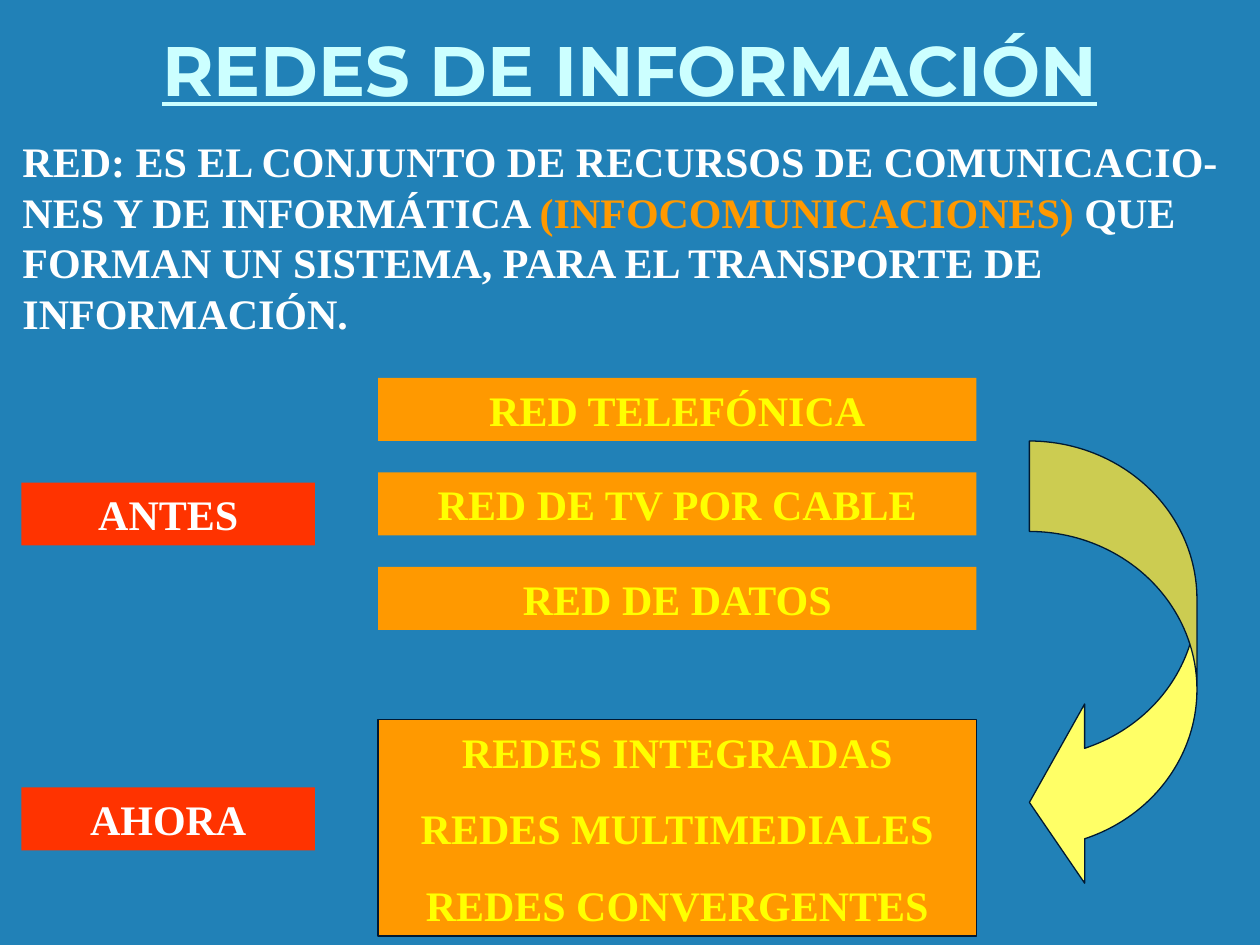
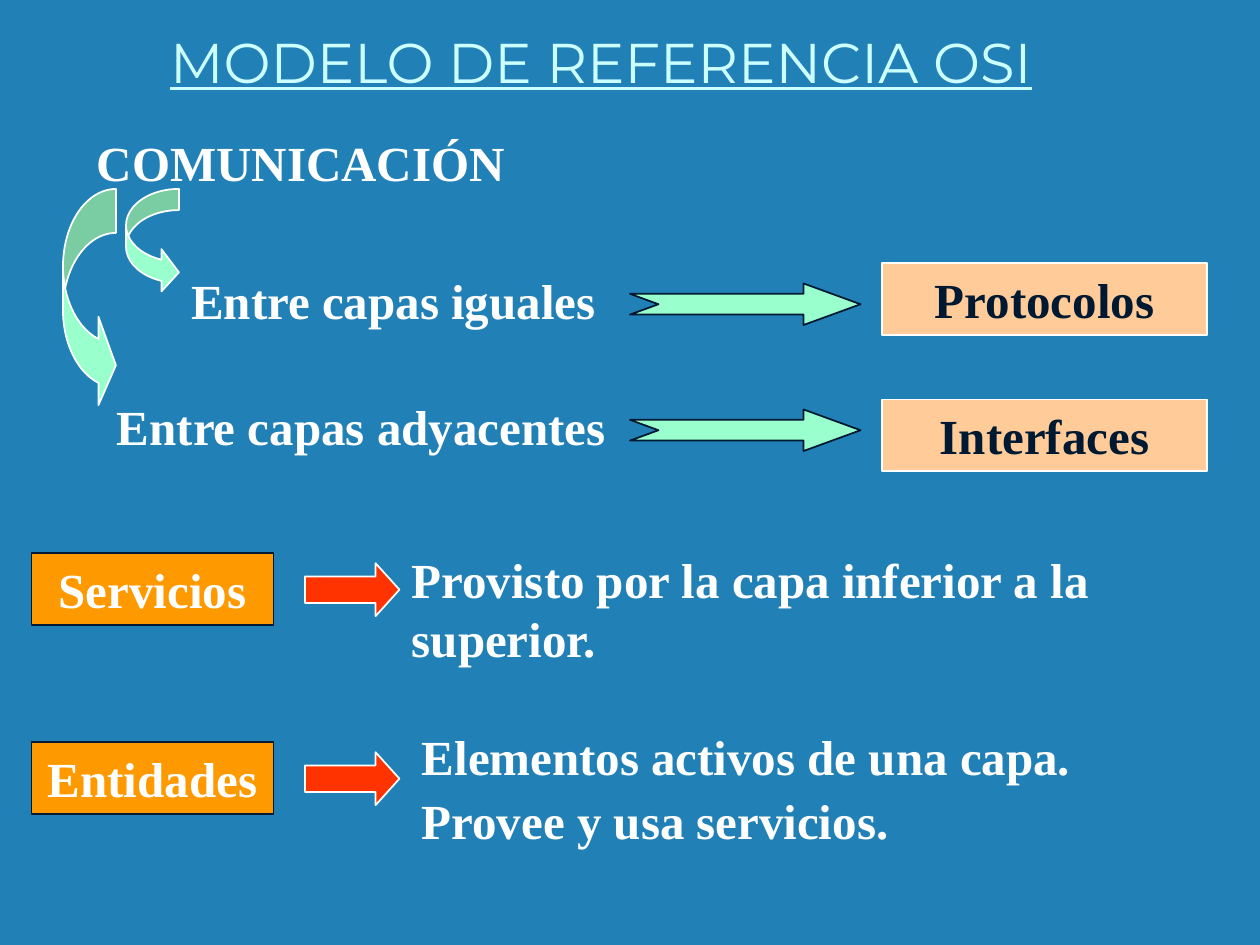
from pptx import Presentation
from pptx.dml.color import RGBColor
from pptx.enum import shapes, text
from pptx.util import Inches, Pt

BLUE = RGBColor(0x21, 0x81, 0xB7)
PALE_CYAN = RGBColor(0xCC, 0xFF, 0xFF)
WHITE = RGBColor(0xFF, 0xFF, 0xFF)
ORANGE = RGBColor(0xFF, 0x99, 0x00)
RED = RGBColor(0xFF, 0x33, 0x00)
YELLOW = RGBColor(0xFF, 0xFF, 0x00)
LIGHT_YELLOW = RGBColor(0xFF, 0xFF, 0x66)
NAVY = RGBColor(0x00, 0x19, 0x32)
PEACH = RGBColor(0xFF, 0xCC, 0x99)
MINT = RGBColor(0x99, 0xFF, 0xCC)

TITLE_FONT, BODY_FONT = "Montserrat", "Times New Roman"
LEFT, CENTER = text.PP_ALIGN.LEFT, text.PP_ALIGN.CENTER
TOP, MIDDLE, BOTTOM = (text.MSO_ANCHOR.TOP, text.MSO_ANCHOR.MIDDLE,
                       text.MSO_ANCHOR.BOTTOM)
PRESET = shapes.MSO_SHAPE

DEFINITION = [
    ("RED: ES EL CONJUNTO DE RECURSOS DE COMUNICACIO-NES Y DE INFORMÁTICA ", WHITE),
    ("(INFOCOMUNICACIONES)", ORANGE),
    (" QUE FORMAN UN SISTEMA, PARA EL TRANSPORTE DE INFORMACIÓN.", WHITE),
]
PERIODS = [("ANTES", 3.83), ("AHORA", 6.25)]
SEPARATE_NETWORKS = ["RED TELEFÓNICA", "RED DE TV POR CABLE", "RED DE DATOS"]
MERGED_NETWORKS = ["REDES INTEGRADAS", "REDES MULTIMEDIALES", "REDES CONVERGENTES"]

COMMUNICATION = [
    ("Entre capas iguales", (1.42, 2.1, 3.58, 0.57), "Protocolos", 2.09),
    ("Entre capas adyacentes", (0.83, 3.1, 4.25, 0.57), "Interfaces", 3.17),
]
BRANCH_ARROWS = [
    ((1, 1.5, 0.42, 0.83), (0.4, 0.8, 0.33)),
    ((0.5, 1.5, 0.42, 1.75), (0.83, 1.67, 0.33)),
]
CONCEPTS = [
    ("Servicios", ["Provisto por la capa inferior a la superior."],
     (3.17, 4.31, 6.67, 1.04), [None]),
    ("Entidades", ["Elementos activos de una capa.", "Provee y usa servicios."],
     (3.25, 5.81, 5.5, 0.95), [0.8, 0.5]),
]


def write(shape, paragraphs, size=28, color=WHITE, font=BODY_FONT, bold=True,
          underline=None, align=LEFT, anchor=TOP, gap=0, spacings=()):
    frame = shape.text_frame
    frame.word_wrap = True
    frame.auto_size = text.MSO_AUTO_SIZE.NONE
    frame.vertical_anchor = anchor
    frame.margin_left = frame.margin_right = Inches(0.1)
    frame.margin_top = frame.margin_bottom = Inches(0.05)
    for index, content in enumerate(paragraphs):
        paragraph = frame.add_paragraph() if index else frame.paragraphs[0]
        paragraph.alignment = align
        if index:
            paragraph.space_before = Pt(gap)
        if index < len(spacings):
            paragraph.line_spacing = spacings[index]
        runs = [(content, color)] if isinstance(content, str) else content
        for words, run_color in runs:
            run = paragraph.add_run()
            run.text = words
            run.font.name = font
            run.font.size = Pt(size)
            run.font.bold = bold
            run.font.underline = underline
            run.font.color.rgb = run_color


def add_titled_slide(presentation, title, box, **style):
    slide = presentation.slides.add_slide(presentation.slide_layouts[5])
    placeholder = slide.shapes.title
    (placeholder.left, placeholder.top,
     placeholder.width, placeholder.height) = map(Inches, box)
    write(placeholder, [title], color=PALE_CYAN, font=TITLE_FONT,
          underline=True, anchor=BOTTOM, **style)
    return slide


def add_shape(slide, kind, box, fill, line=None, weight=1, adjustments=()):
    shape = slide.shapes.add_shape(kind, *map(Inches, box))
    shape.shadow.inherit = False
    shape.fill.solid()
    shape.fill.fore_color.rgb = fill
    if line is None:
        shape.line.fill.background()
    else:
        shape.line.color.rgb = line
        shape.line.width = Pt(weight)
    for index, value in enumerate(adjustments):
        shape.adjustments[index] = value
    return shape


def add_label(slide, words, box, fill, line=None, **style):
    shape = add_shape(slide, PRESET.RECTANGLE, box, fill, line)
    write(shape, [words], align=CENTER, **style)


def add_text(slide, paragraphs, box, **style):
    write(slide.shapes.add_textbox(*map(Inches, box)), paragraphs, **style)


def build_networks(presentation):
    slide = add_titled_slide(presentation, "REDES DE INFORMACIÓN",
                             (0, 0.16, 10, 0.77), size=40, align=CENTER)
    definition = add_shape(slide, PRESET.RECTANGLE, (0.08, 1.03, 9.75, 1.7), BLUE)
    write(definition, [DEFINITION], size=24)
    for period, top in PERIODS:
        add_label(slide, period, (0.17, top, 2.33, 0.5), RED, size=24)
    for row, network in enumerate(SEPARATE_NETWORKS):
        add_label(slide, network, (3, 3 + 0.75 * row, 4.75, 0.5), ORANGE,
                  size=24, color=YELLOW)
    merged = add_shape(slide, PRESET.RECTANGLE, (3, 5.71, 4.75, 1.72),
                       ORANGE, NAVY, 0.75)
    write(merged, MERGED_NETWORKS, size=24, color=YELLOW, align=CENTER,
          anchor=MIDDLE, gap=15)
    add_shape(slide, PRESET.CURVED_LEFT_ARROW, (8.17, 3.5, 1.33, 3.58),
              LIGHT_YELLOW, NAVY, 0.75, (0.54, 1.07, 0.33))


def build_osi_model(presentation):
    slide = add_titled_slide(presentation, "MODELO DE REFERENCIA OSI",
                             (1.25, 0.16, 7.83, 0.64), size=32, bold=False)
    add_text(slide, ["COMUNICACIÓN"], (0.67, 1, 3.58, 0.57))
    for box, adjustments in BRANCH_ARROWS:
        add_shape(slide, PRESET.CURVED_RIGHT_ARROW, box, MINT, WHITE,
                  adjustments=adjustments)
    for row, (layers, box, result, result_top) in enumerate(COMMUNICATION):
        add_text(slide, [layers], box)
        add_shape(slide, PRESET.NOTCHED_RIGHT_ARROW, (5, 2.25 + row, 1.83, 0.33),
                  MINT, NAVY, adjustments=(0.5, 1.37))
        add_label(slide, result, (7, result_top, 2.58, 0.57), PEACH, WHITE,
                  color=NAVY)
    for row, (concept, meaning, box, spacings) in enumerate(CONCEPTS):
        offset = 1.5 * row
        add_label(slide, concept, (0.25, 4.39 + offset, 1.92, 0.57), ORANGE, NAVY)
        add_text(slide, meaning, box, gap=17.5, spacings=spacings)
        add_shape(slide, PRESET.RIGHT_ARROW, (2.42, 4.47 + offset, 0.75, 0.42),
                  RED, WHITE, adjustments=(0.5, 0.45))


def main():
    presentation = Presentation()
    presentation.slide_width = Inches(10)
    presentation.slide_height = Inches(7.5)
    background = presentation.slide_master.background.fill
    background.solid()
    background.fore_color.rgb = BLUE
    build_networks(presentation)
    build_osi_model(presentation)
    presentation.save("out.pptx")


if __name__ == "__main__":
    main()
